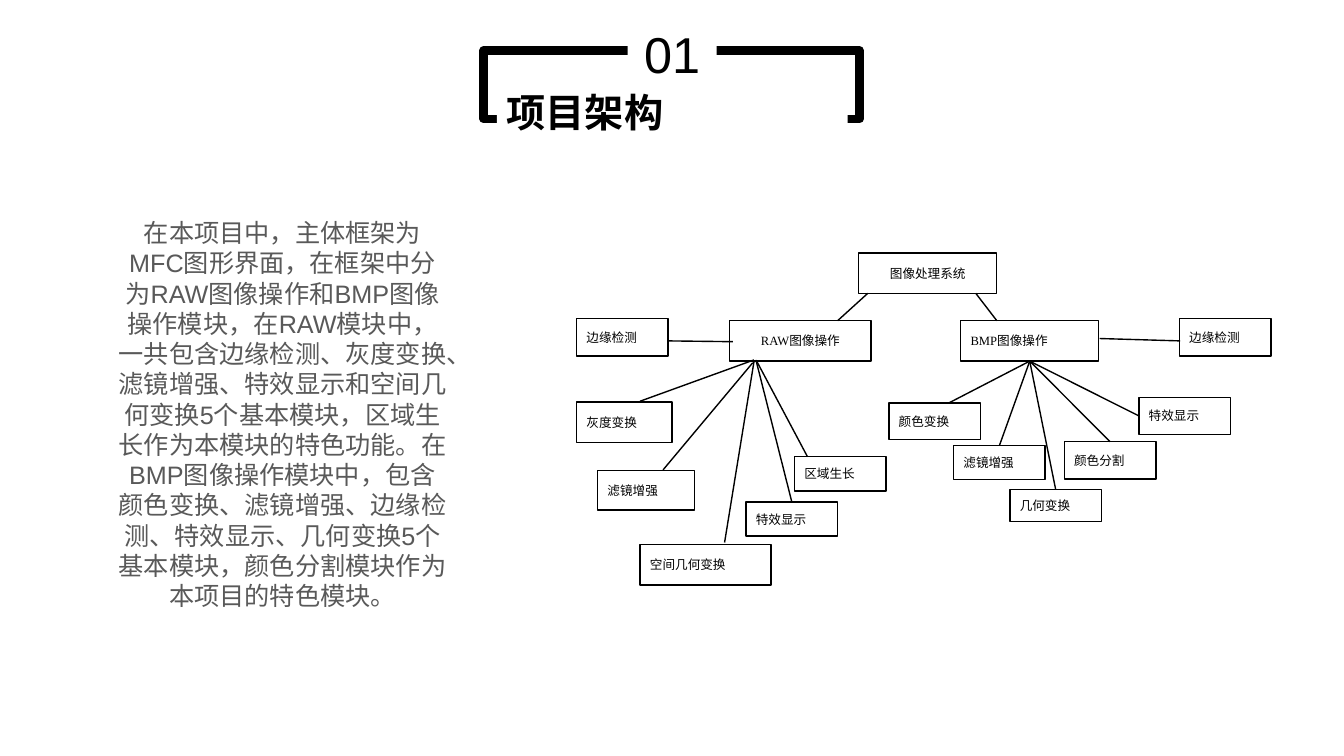
"""Build the project architecture slide with its module tree."""
from lxml import etree
from pptx import Presentation
from pptx.dml.color import RGBColor
from pptx.enum.shapes import MSO_CONNECTOR, MSO_SHAPE
from pptx.enum.text import MSO_ANCHOR as Anchor, MSO_AUTO_SIZE as AutoSize, PP_ALIGN as Align
from pptx.oxml.ns import qn
from pptx.util import Cm, Pt

COLORS = {"black": "000000", "white": "FFFFFF", "gray": "595959"}
TOP, LEFT = 0, 1
BOTTOM = 2

BODY = (
    "在本项目中，主体框架为MFC图形界面，在框架中分为RAW图像操作和BMP图像操作模块，"
    "在RAW模块中，一共包含边缘检测、灰度变换、滤镜增强、特效显示和空间几何变换5个基本模块，"
    "区域生长作为本模块的特色功能。在BMP图像操作模块中，包含颜色变换、滤镜增强、边缘检测、"
    "特效显示、几何变换5个基本模块，颜色分割模块作为本项目的特色模块。"
)

PARENTS = [
    ("图像处理系统", 21.64, 6.38, 3.48, 1.02, Align.CENTER),
    ("RAW图像操作", 18.39, 8.08, 3.56, 1.02, Align.CENTER),
    ("BMP图像操作", 24.21, 8.08, 3.48, 1.02, Align.JUSTIFY),
]
RAW_MODULES = [
    ("边缘检测", 14.53, 8.03, 2.31, 0.94),
    ("灰度变换", 14.53, 10.13, 2.41, 1.02),
    ("滤镜增强", 15.06, 11.86, 2.44, 0.99),
    ("空间几何变换", 16.13, 13.72, 3.3, 1.02),
    ("特效显示", 18.8, 12.65, 2.31, 0.86),
    ("区域生长", 20.02, 11.51, 2.31, 0.86),
]
BMP_MODULES = [
    ("颜色变换", 22.4, 10.16, 2.31, 0.91),
    ("滤镜增强", 24.03, 11.23, 2.31, 0.86),
    ("几何变换", 25.45, 12.34, 2.31, 0.81),
    ("颜色分割", 26.82, 11.13, 2.31, 0.94),
    ("特效显示", 28.7, 10.01, 2.31, 0.94),
    ("边缘检测", 29.72, 8.03, 2.31, 0.94),
]
FREE_LINKS = [
    ((21.87, 7.39), (21.11, 8.08)),
    ((24.59, 7.39), (25.12, 8.08)),
    ((16.84, 8.59), (18.47, 8.61)),
    ((19, 9.07), (16.13, 10.11)),
    ((18.97, 9.14), (16.71, 11.84)),
    ((19, 9.12), (18.26, 13.67)),
    ((19.08, 9.12), (20.35, 11.51)),
    ((27.71, 8.53), (29.74, 8.59)),
]


def rgb(name):
    """Return the named colour."""
    return RGBColor.from_string(COLORS[name])


def add_rect(shapes, x, y, w, h, fill="white", line=None):
    """Add a rectangle with an optional fill and black outline width."""
    sp = shapes.add_shape(MSO_SHAPE.RECTANGLE, Cm(x), Cm(y), Cm(w), Cm(h))
    sp.shadow.inherit = False
    if fill:
        sp.fill.solid()
        sp.fill.fore_color.rgb = rgb(fill)
    else:
        sp.fill.background()
    if line:
        sp.line.color.rgb = rgb("black")
        sp.line.width = Pt(line)
    else:
        sp.line.fill.background()
    return sp


def add_text(sp, text, size, align, font="Arial", color="black", bold=False,
             anchor=Anchor.MIDDLE, grow=False):
    """Write one formatted run into a shape."""
    tf = sp.text_frame
    tf.word_wrap = True
    tf.vertical_anchor = anchor
    if grow:
        tf.auto_size = AutoSize.SHAPE_TO_FIT_TEXT
    p = tf.paragraphs[0]
    p.alignment = align
    r = p.add_run()
    r.text = text
    r.font.name = font
    r.font.size = Pt(size)
    r.font.bold = bold
    r.font.color.rgb = rgb(color)


def add_node(shapes, text, x, y, w, h, align=Align.JUSTIFY):
    """Add one labelled box of the tree."""
    sp = add_rect(shapes, x, y, w, h, line=1)
    add_text(sp, text, 9, align, font="Times New Roman")
    return sp


def add_link(shapes, start=(0, 0), end=(0, 0), source=None, target=None):
    """Add a line between points, or joined to (box, site) pairs."""
    points = [Cm(v) for v in (*start, *end)]
    link = shapes.add_connector(MSO_CONNECTOR.STRAIGHT, *points)
    link.line.color.rgb = rgb("black")
    link.line.width = Pt(1)
    etree.SubElement(link._element.spPr, qn("a:effectLst"))
    if source:
        link.begin_connect(*source)
    if target:
        link.end_connect(*target)


def add_heading(s):
    """Add the framed section number and title."""
    shapes = s.shapes.add_group_shape().shapes
    add_rect(shapes, 12.19, 1.27, 9.47, 1.73, fill=None, line=6)
    number = add_rect(shapes, 15.82, 0.46, 2.24, 1.8)
    add_text(number, "01", 36, Align.CENTER, anchor=Anchor.TOP, grow=True)
    title = add_rect(shapes, 12.52, 2.11, 8.84, 1.45)
    add_text(title, "项目架构", 28, Align.JUSTIFY, bold=True, anchor=Anchor.TOP, grow=True)


def add_tree(s):
    """Add the boxes of the module tree and the lines between them."""
    shapes = s.shapes.add_group_shape().shapes
    root, raw, bmp = [add_node(shapes, *node) for node in PARENTS]
    raw_boxes = [add_node(shapes, *node) for node in RAW_MODULES]
    bmp_boxes = [add_node(shapes, *node) for node in BMP_MODULES]
    for start, end in FREE_LINKS:
        add_link(shapes, start, end)
    add_link(shapes, start=(19.05, 9.07), target=(raw_boxes[4], TOP))
    add_link(shapes, end=(23.9, 10.16), source=(bmp, BOTTOM))
    for box, site in zip(bmp_boxes[1:5], (TOP, TOP, TOP, LEFT)):
        add_link(shapes, source=(bmp, BOTTOM), target=(box, site))


def main():
    """Build and save the slide."""
    prs = Presentation()
    prs.slide_width, prs.slide_height = Cm(33.87), Cm(19.05)
    s = prs.slides.add_slide(prs.slide_layouts[6])
    add_heading(s)
    body = add_rect(s.shapes, 2.74, 4.11, 8.76, 12.65)
    add_text(body, BODY, 18, Align.CENTER, color="gray")
    add_tree(s)
    prs.save("out.pptx")


if __name__ == "__main__":
    main()
